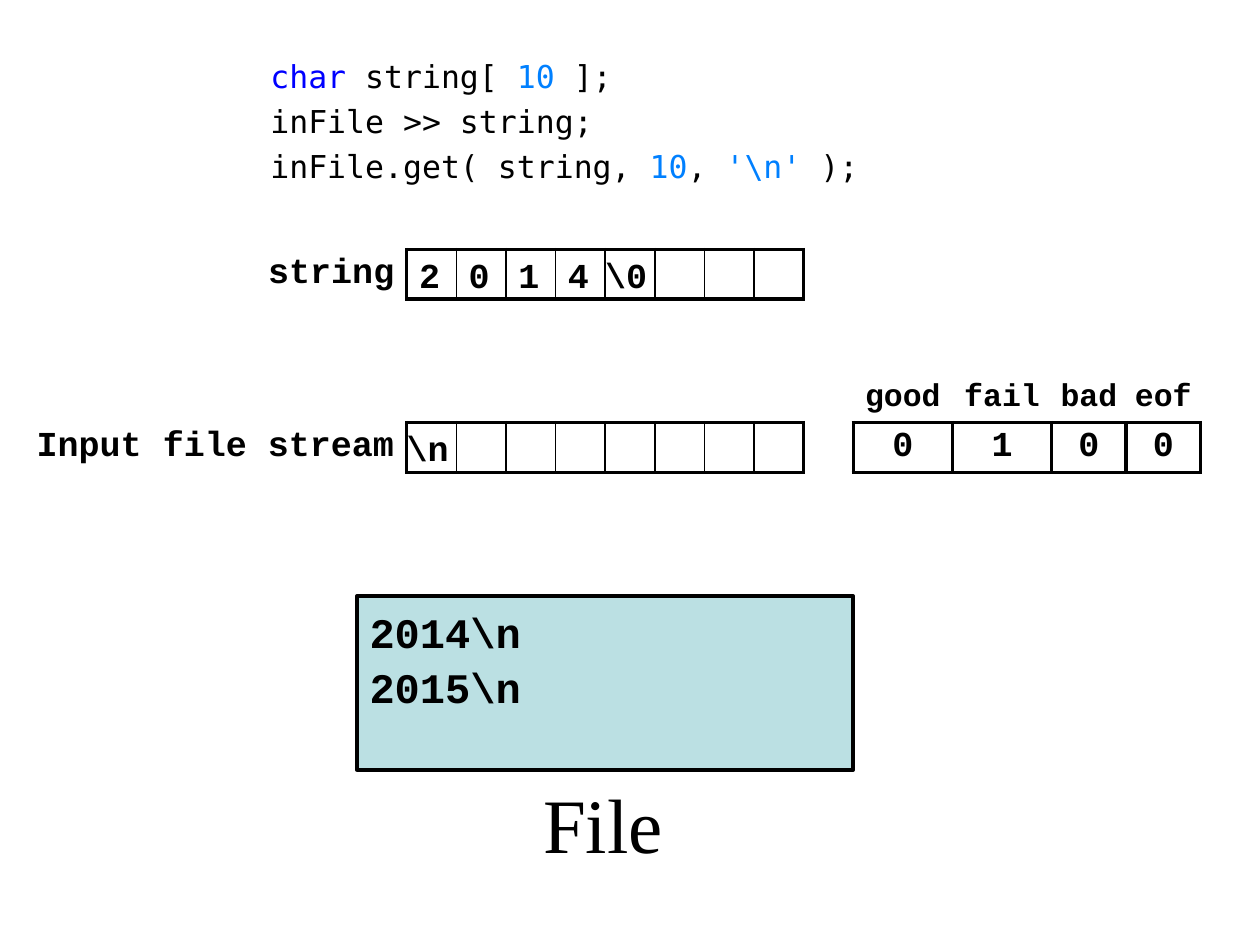
from lxml.etree import SubElement
from pptx import Presentation
from pptx.dml.color import RGBColor
from pptx.enum.shapes import MSO_SHAPE
from pptx.enum.text import MSO_ANCHOR, MSO_AUTO_SIZE, PP_ALIGN
from pptx.oxml.ns import qn
from pptx.util import Cm, Pt

COURIER = "Courier New"
THICK, THIN = 2.25, 1
NO_STYLE = "{2D5ABB26-0587-4C30-8999-92F81FD0307C}"


def write(para, text, size, font=COURIER, color="000000", bold=True):
    span = para.add_run()
    span.text = text
    span.font.size = Pt(size)
    span.font.name = font
    span.font.bold = bold
    span.font.color.rgb = RGBColor.from_string(color)


def draw_edge(cell, side, width):
    edge = SubElement(cell._tc.get_or_add_tcPr(), qn(f"a:ln{side}"), w=str(Pt(width)))
    fill = SubElement(edge, qn("a:solidFill"))
    SubElement(fill, qn("a:srgbClr"), val="000000")


deck = Presentation()
deck.slide_width, deck.slide_height = Cm(25.4), Cm(19.05)
page = deck.slides.add_slide(deck.slide_layouts[1])
title = page.shapes.title
title._element.getparent().remove(title._element)

code = page.placeholders[1]
code.left, code.top, code.width, code.height = Cm(5.2), Cm(1.02), Cm(12.5), Cm(3)
frame = code.text_frame
frame.auto_size = MSO_AUTO_SIZE.NONE
frame.margin_left, frame.margin_right = Cm(0.25), Cm(0.2)
code_lines = [
    [("char", "0000FF"), (" string[ ", "000000"), ("10", "0080FF"), (" ];", "000000")],
    [("inFile >> string;", "000000")],
    [("inFile.get( string, ", "000000"), ("10", "0080FF"), (", ", "000000"),
     ("'\\n'", "0080FF"), (" );", "000000")],
]
for number, line in enumerate(code_lines):
    para = frame.add_paragraph() if number else frame.paragraphs[0]
    properties = para._p.get_or_add_pPr()
    properties.set("marL", "0")
    properties.set("indent", "0")
    SubElement(properties, qn("a:buNone"))
    para.space_before = Pt(4.2 if number else 0)
    for text, color in line:
        write(para, text, 18, "DejaVu Sans Mono", color, False)

grids = [
    (0.7, 7.52, [7.5] + [1] * 9 + [2, 2, 1.5, 1.5],
     [[""] * 10 + ["good", "fail", "bad", "eof"],
      ["Input file stream"] + [""] * 9 + ["0", "1", "0", "0"]],
     [(1, 8, THIN), (10, 13, THICK)]),
    (5.2, 5.03, [3] + [1] * 8, [["string"] + [""] * 8], [(1, 8, THIN)]),
]
for left, top, widths, rows, strips in grids:
    holder = page.shapes.add_table(len(rows), len(widths), Cm(left), Cm(top),
                                   Cm(sum(widths)), Cm(len(rows)))
    table = holder.table
    table.first_row = table.horz_banding = False
    table._tbl.tblPr.find(qn("a:tableStyleId")).text = NO_STYLE
    for column, width in zip(table.columns, widths):
        column.width = Cm(width)
    last_row = len(rows) - 1
    for first, last, inner in strips:
        draw_edge(table.cell(last_row, first - 1), "R", THICK)
        for index in range(first, last + 1):
            cell = table.cell(last_row, index)
            draw_edge(cell, "L", THICK if index == first else inner)
            draw_edge(cell, "R", THICK if index == last else inner)
            draw_edge(cell, "T", THICK)
            draw_edge(cell, "B", THICK)
            if last_row:
                draw_edge(table.cell(0, index), "B", THICK)
        if last + 1 < len(widths):
            draw_edge(table.cell(last_row, last + 1), "L", THICK)
    for row, texts in enumerate(rows):
        table.rows[row].height = Cm(1)
        for index, text in enumerate(texts):
            cell = table.cell(row, index)
            cell.fill.background()
            cell.vertical_anchor = MSO_ANCHOR.MIDDLE
            cell.margin_left = cell.margin_top = cell.margin_bottom = 0
            cell.margin_right = 0 if index else Cm(0.25)
            para = cell.text_frame.paragraphs[0]
            para.alignment = PP_ALIGN.CENTER if index else PP_ALIGN.RIGHT
            if text:
                write(para, text, 18 if row < last_row else 20)

file_box = page.shapes.add_shape(MSO_SHAPE.RECTANGLE, Cm(7.2), Cm(12.02), Cm(10), Cm(3.5))
file_box.shadow.inherit = False
file_box.fill.solid()
file_box.fill.fore_color.rgb = RGBColor.from_string("BBE0E3")
file_box.line.color.rgb = RGBColor.from_string("000000")
file_box.line.width = Pt(THICK)
frame = file_box.text_frame
frame.word_wrap = True
frame.vertical_anchor = MSO_ANCHOR.TOP
for number, text in enumerate(["2014\\n", "2015\\n"]):
    para = frame.add_paragraph() if number else frame.paragraphs[0]
    para.alignment = PP_ALIGN.LEFT
    para.line_spacing = 1.09
    write(para, text, 24)

caption = page.shapes.add_textbox(Cm(10.7), Cm(15.52), Cm(3), Cm(2.5))
caption.text_frame.word_wrap = False
write(caption.text_frame.paragraphs[0], "File", 44, "Times New Roman", bold=False)

for top, symbols in [(8.53, ["\\n"]), (5.03, ["2", "0", "1", "4", "\\0"])]:
    for index, symbol in enumerate(symbols):
        box = page.shapes.add_textbox(Cm(8.2 + index), Cm(top), Cm(1), Cm(1))
        frame = box.text_frame
        frame.word_wrap = True
        frame.vertical_anchor = MSO_ANCHOR.MIDDLE
        frame.margin_left = frame.margin_right = Cm(0.25 if len(symbol) == 1 else 0)
        write(frame.paragraphs[0], symbol, 20)

deck.save("out.pptx")
